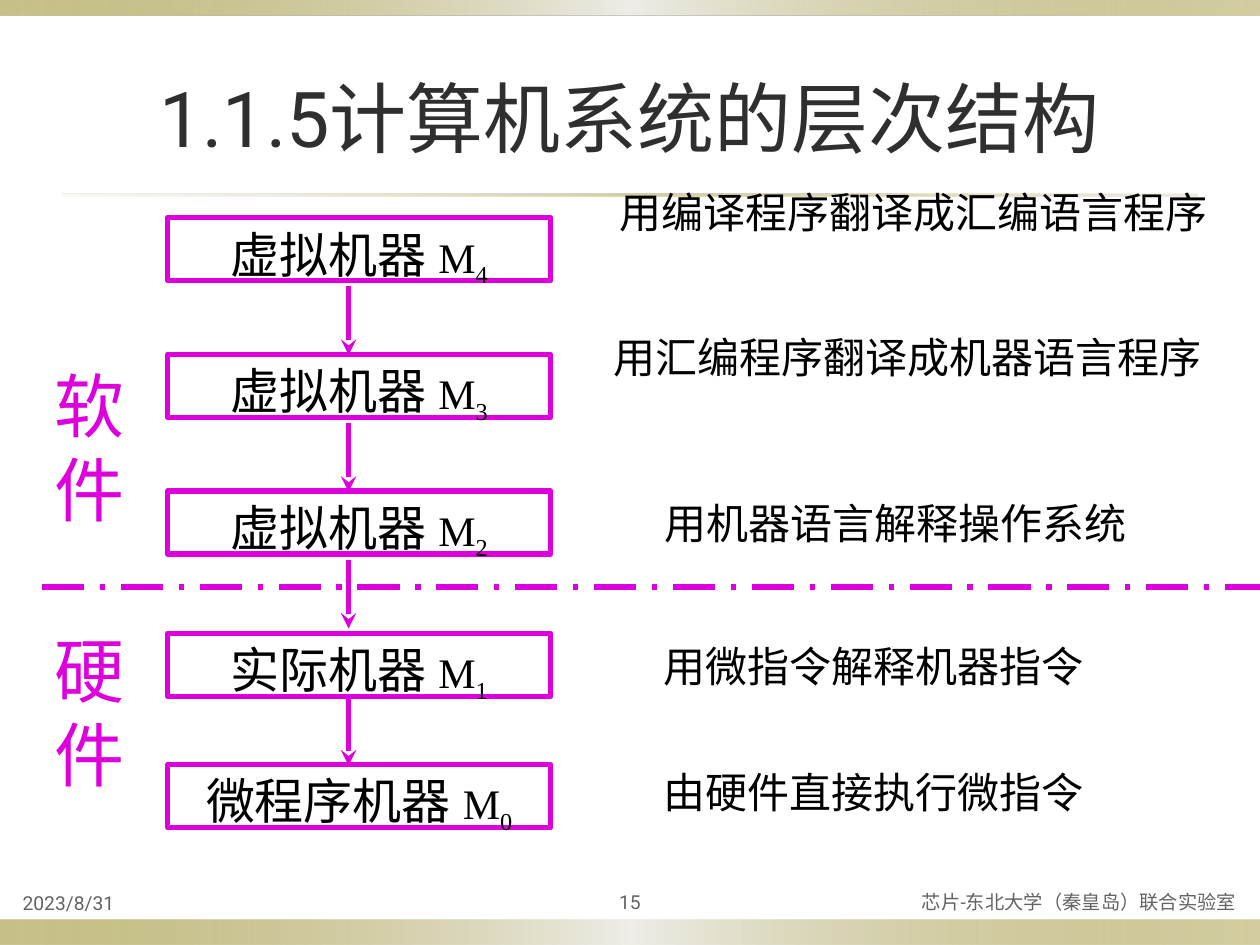
"""Build the slide on the layered structure of a computer system."""
from lxml import etree
from pptx import Presentation
from pptx.dml.color import RGBColor
from pptx.enum import dml, lang, shapes, text
from pptx.oxml import ns, parse_xml
from pptx.util import Pt

MAGENTA = RGBColor(0xDD, 0x00, 0xDD)
BLACK = RGBColor(0x00, 0x00, 0x00)
DARK = RGBColor(0x2F, 0x2F, 0x2F)
GREY = RGBColor(0x63, 0x63, 0x63)
OLIVE = RGBColor(0x91, 0x84, 0x15)
PALE = RGBColor(0xEE, 0xED, 0xE8)
SAND = RGBColor(0xDC, 0xD9, 0xCC)
SANS, SERIF = "Roboto", "Times New Roman"
LEFT, CENTER, RIGHT = text.PP_ALIGN.LEFT, text.PP_ALIGN.CENTER, text.PP_ALIGN.RIGHT
TOP, MIDDLE, BOTTOM = text.MSO_ANCHOR.TOP, text.MSO_ANCHOR.MIDDLE, text.MSO_ANCHOR.BOTTOM

BAND_STOPS = [(0, OLIVE, 50), (50, PALE, 100), (100, OLIVE, 40)]
RULE_STOPS = [(0, SAND, 20), (50, OLIVE, 40), (100, SAND, 50)]
BANDS = [
    ((0, 525.6, 720, 14.4), BAND_STOPS),
    ((0, 0, 720, 8.64), BAND_STOPS),
    ((36, 110.9, 648, 1.44), RULE_STOPS),
]
MACHINES = [
    ("虚拟机器 ", "4", 124.5),
    ("虚拟机器 ", "3", 202.5),
    ("虚拟机器 ", "2", 280.6),
    ("实际机器 ", "1", 362),
    ("微程序机器 ", "0", 437),
]
NOTES = [
    ("用编译程序翻译成汇编语言程序", (337.7, 103, 368.6, 36)),
    ("用汇编程序翻译成机器语言程序", (342.7, 185.8, 351.4, 36)),
    ("用机器语言解释操作系统", (371.5, 280.8, 280, 36)),
    ("用微指令解释机器指令", (371.5, 362.5, 255.6, 36)),
    ("由硬件直接执行微指令", (371.5, 434.2, 255.6, 36)),
]
SIDES = [("软件", 203.8), ("硬件", 355)]
HEADINGS = [
    ("1.1.5计算机系统的层次结构", (36, 21.6, 648, 90), 44, DARK, CENTER, MIDDLE),
    ("2023/8/31", (5.8, 504, 252, 22.3), 11, GREY, LEFT, BOTTOM),
    ("芯片-东北大学（秦皇岛）联合实验室", (419.8, 504, 293.8, 22.3), 11, GREY, RIGHT, MIDDLE),
    ("15", (324, 504, 72, 22.3), 11, GREY, CENTER, MIDDLE),
]
BOX_X, BOX_W, BOX_H = 95.8, 218.9, 36
ARROW_X, ARROW_Y, ARROW_STEP, ARROW_LEN = 199.2, 163.6, 78.2, 39.2
DIVIDER = (24, 335.5, 720, 335.5)


def points(values):
    return [Pt(v) for v in values]


def add_run(p, words, size, color, name=SANS):
    r = p.add_run()
    r.text = words
    formats = {"size": Pt(size), "name": name,
               "language_id": lang.MSO_LANGUAGE_ID.SIMPLIFIED_CHINESE}
    for key, value in formats.items():
        setattr(r.font, key, value)
    r.font.color.rgb = color
    etree.SubElement(r.font._element, ns.qn("a:ea"), typeface=name)
    return r


def add_text(s, lines, place, size, color, align=CENTER, anchor=TOP, wrap=False):
    tf = s.shapes.add_textbox(*points(place)).text_frame
    tf.word_wrap, tf.vertical_anchor = wrap, anchor
    for i, line in enumerate(lines):
        p = tf.add_paragraph() if i else tf.paragraphs[0]
        p.alignment = align
        add_run(p, line, size, color)


def add_rect(s, place):
    sp = s.shapes.add_shape(shapes.MSO_SHAPE.RECTANGLE, *points(place))
    sp.shadow.inherit = False
    sp.fill.background()
    return sp


def add_band(s, place, stops):
    sp = add_rect(s, place)
    sp.line.fill.background()
    marks = "".join(
        f'<a:gs pos="{pos * 1000}"><a:srgbClr val="{color}">'
        f'<a:alpha val="{alpha * 1000}"/></a:srgbClr></a:gs>'
        for pos, color, alpha in stops)
    grad = parse_xml(f'<a:gradFill {ns.nsdecls("a")} rotWithShape="1">'
                     f'<a:gsLst>{marks}</a:gsLst><a:lin ang="0" scaled="0"/></a:gradFill>')
    pr = sp._element.spPr
    pr.replace(pr.find(ns.qn("a:noFill")), grad)


def add_machine(s, name, level, y):
    sp = add_rect(s, (BOX_X, y, BOX_W, BOX_H))
    sp.line.color.rgb, sp.line.width = MAGENTA, Pt(3)
    tf = sp.text_frame
    tf.word_wrap, tf.vertical_anchor = True, TOP
    p = tf.paragraphs[0]
    p.alignment = CENTER
    add_run(p, name, 28, BLACK)
    add_run(p, "M", 24, BLACK, SERIF)
    r = add_run(p, level, 24, BLACK, SERIF)
    r.font._element.set("baseline", "-25000")


def add_line(s, ends):
    c = s.shapes.add_connector(shapes.MSO_CONNECTOR.STRAIGHT, *points(ends))
    c.line.color.rgb, c.line.width = MAGENTA, Pt(3)
    etree.SubElement(c._element.spPr, ns.qn("a:effectLst"))
    return c.line


def main():
    prs = Presentation()
    prs.slide_width, prs.slide_height = Pt(720), Pt(540)
    s = prs.slides.add_slide(prs.slide_layouts[6])
    for place, stops in BANDS:
        add_band(s, place, stops)
    for note, place in NOTES:
        add_text(s, [note], place, 24, BLACK)
    add_line(s, DIVIDER).dash_style = dml.MSO_LINE.LONG_DASH_DOT
    for side, y in SIDES:
        add_text(s, side, (23.8, y, 54.7, 113), 40, MAGENTA)
    for machine in MACHINES:
        add_machine(s, *machine)
    for i in range(len(MACHINES) - 1):
        y = ARROW_Y + i * ARROW_STEP
        line = add_line(s, (ARROW_X, y, ARROW_X, y + ARROW_LEN))
        etree.SubElement(line._get_or_add_ln(), ns.qn("a:tailEnd"), type="stealth")
    for words, place, size, color, align, anchor in HEADINGS:
        add_text(s, [words], place, size, color, align, anchor, True)
    prs.save("out.pptx")


if __name__ == "__main__":
    main()
